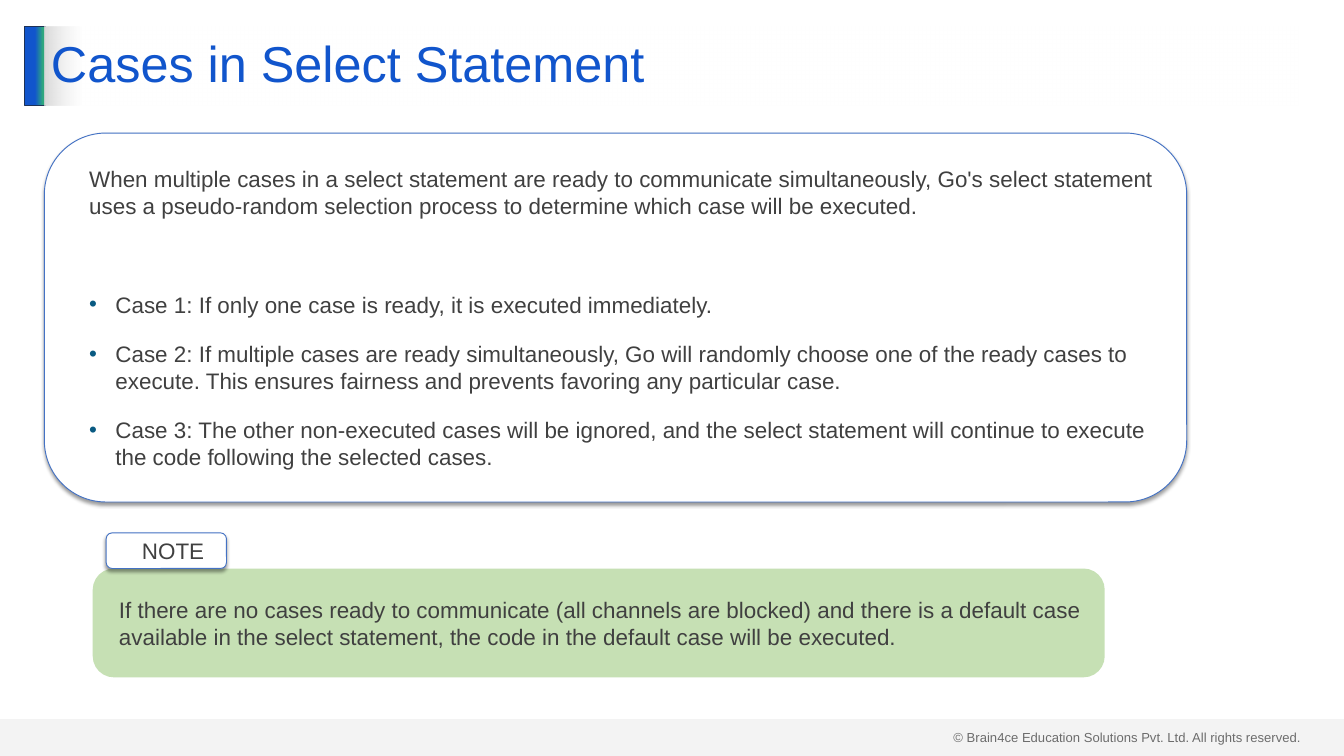
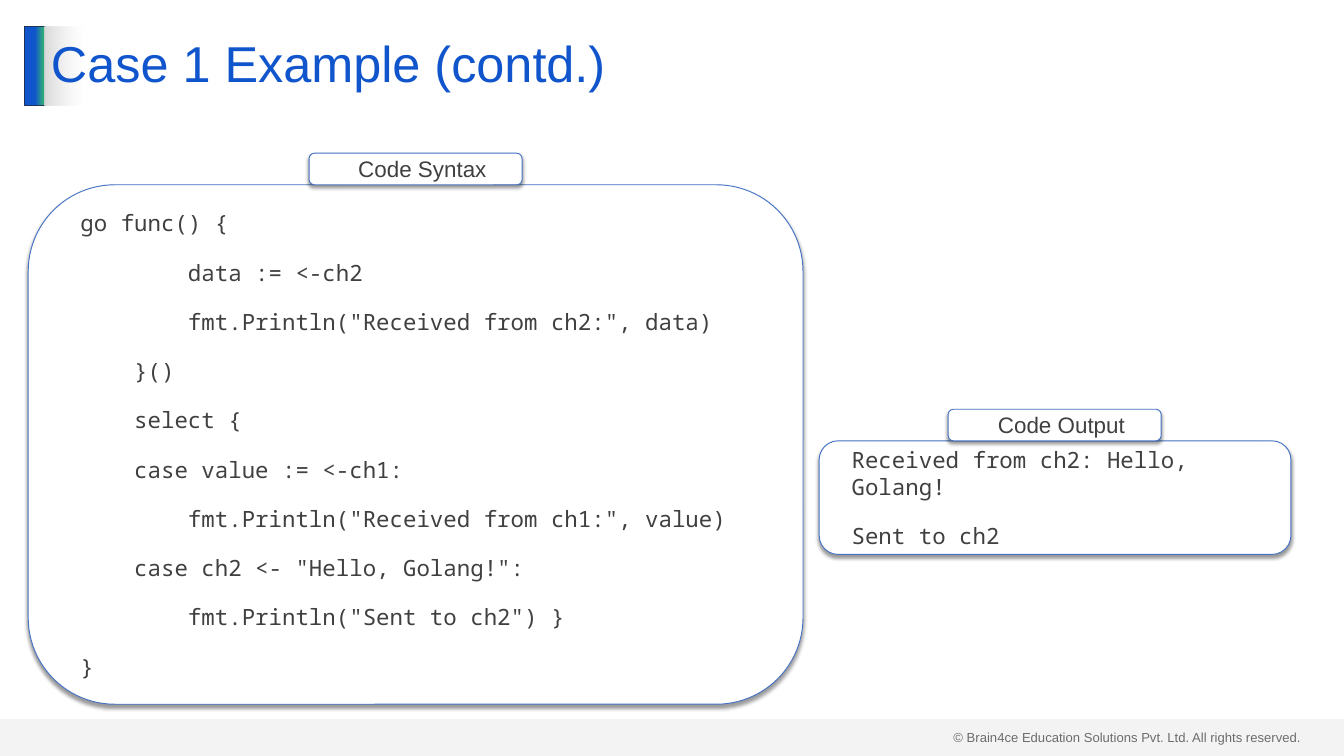
from lxml import etree
from pptx import Presentation
from pptx.dml.color import RGBColor
from pptx.enum.shapes import MSO_SHAPE as SHAPE
from pptx.enum.text import MSO_ANCHOR as ANCHOR, PP_ALIGN as ALIGN
from pptx.oxml import parse_xml
from pptx.oxml.ns import nsdecls, qn
from pptx.util import Emu, Pt

PX = 9144  # 100 px to the inch
WIDTH, HEIGHT = 2000, 1125

BLUE = RGBColor(0x11, 0x55, 0xCC)
GREEN = RGBColor(0x2E, 0xA8, 0x7D)
NAVY = RGBColor(0x1E, 0x32, 0x56)
OUTLINE = RGBColor(0x44, 0x72, 0xC4)
TEAL = RGBColor(0x09, 0x5A, 0x82)
TEXT = RGBColor(0x40, 0x40, 0x40)
GREY = RGBColor(0xD9, 0xD9, 0xD9)
NOTE_GREEN = RGBColor(0xA9, 0xD1, 0x8E)
WHITE = RGBColor(0xFF, 0xFF, 0xFF)
BLACK = RGBColor(0, 0, 0)

BODY = dict(name="Arial", size=Pt(24))
CODE = dict(name="Noto Sans Mono", size=Pt(24))
TITLE = dict(name="Arial", size=Pt(54))
SMALL = dict(name="Arial", size=Pt(14))

# Content
FOOTER = "© Brain4ce Education Solutions Pvt. Ltd. All rights reserved."
CASES_TITLE = "Cases in Select Statement"
INTRO = ("When multiple cases in a select statement are ready to communicate "
         "simultaneously, Go's select statement uses a pseudo-random selection "
         "process to determine which case will be executed.")
CASES = [
    "Case 1: If only one case is ready, it is executed immediately.",
    "Case 2: If multiple cases are ready simultaneously, Go will randomly choose "
    "one of the ready cases to execute. This ensures fairness and prevents "
    "favoring any particular case.",
    "Case 3: The other non-executed cases will be ignored, and the select "
    "statement will continue to execute the code following the selected cases.",
]
NOTE = ("If there are no cases ready to communicate (all channels are blocked) and "
        "there is a default case available in the select statement, the code in "
        "the default case will be executed.")
EXAMPLE_TITLE = "Case 1 Example (contd.)"
SYNTAX = """go func() {
        data := <-ch2
        fmt.Println("Received from ch2:", data)
    }()
    select {
    case value := <-ch1:
        fmt.Println("Received from ch1:", value)
    case ch2 <- "Hello, Golang!":
        fmt.Println("Sent to ch2") }
}""".split("\n")
OUTPUT = ["Received from ch2: Hello, Golang!", "Sent to ch2"]
# label, lines, panel place
CODE_PANELS = [
    ("Code Syntax", SYNTAX, (42, 275, 1153, 773)),
    ("Code Output", OUTPUT, (1219, 656, 702, 169)),
]
LABEL_W, LABEL_H = 317, 47


def px(n):
    return Emu(n * PX)


def color_xml(color, alpha=100):
    return (f'<a:srgbClr val="{color}"><a:alpha val="{alpha * 1000}"/></a:srgbClr>')


def solid(color, alpha=100):
    return f'<a:solidFill {nsdecls("a")}>{color_xml(color, alpha)}</a:solidFill>'


def gradient(*stops):
    gs = "".join(f'<a:gs pos="{pos * 1000}">{color_xml(*color)}</a:gs>'
                 for pos, *color in stops)
    return (f'<a:gradFill {nsdecls("a")} rotWithShape="1"><a:gsLst>{gs}</a:gsLst>'
            '<a:lin ang="0" scaled="0"/></a:gradFill>')


def add_box(slide, at, fill, kind=SHAPE.RECTANGLE, line=None):
    sp = slide.shapes.add_shape(kind, *map(px, at))
    sp.shadow.inherit = False
    sp._element.spPr.find(qn("a:prstGeom")).addnext(parse_xml(fill))
    if line is None:
        sp.line.fill.background()
    else:
        sp.line.color.rgb = line
        sp.line.width = Pt(1)
    return sp


def add_panel(slide, at):
    """White rounded box with a blue outline and a soft shadow below."""
    sp = add_box(slide, at, solid(WHITE), SHAPE.ROUNDED_RECTANGLE, OUTLINE)
    sp._element.spPr.find(qn("a:effectLst")).append(parse_xml(
        f'<a:outerShdw {nsdecls("a")} blurRad="{Pt(4)}" dist="{Pt(3)}" dir="5400000" '
        f'algn="t" rotWithShape="0">{color_xml(BLACK, 40)}</a:outerShdw>'))
    tf = sp.text_frame
    tf.margin_left = tf.margin_right = px(20)
    tf.margin_top = tf.margin_bottom = px(10)
    return sp


def style(p, font, color=TEXT):
    for r in p.runs:
        for key, value in font.items():
            setattr(r.font, key, value)
        r.font.color.rgb = color


def write(sp, lines, font=BODY, color=TEXT, align=ALIGN.LEFT, indent=20,
          anchor=ANCHOR.MIDDLE):
    tf = sp.text_frame
    tf.word_wrap = True
    tf.vertical_anchor = anchor
    for i, line in enumerate(lines):
        p = tf.paragraphs[0] if i == 0 else tf.add_paragraph()
        p.add_run().text = line
        p.alignment = align
        p.space_before = Pt(12 if i else 0)
        p.space_after = Pt(12 if i < len(lines) - 1 else 0)
        p._p.get_or_add_pPr().set("marL", str(px(indent)))
        style(p, font, color)
    return tf.paragraphs


def add_bullet(p):
    pPr = p._p.get_or_add_pPr()
    pPr.set("marL", str(px(59)))
    pPr.set("indent", str(px(-39)))
    color = etree.SubElement(pPr, qn("a:buClr"))
    etree.SubElement(color, qn("a:srgbClr"), val=str(TEAL))
    etree.SubElement(pPr, qn("a:buFont"), typeface="Arial")
    etree.SubElement(pPr, qn("a:buChar"), char="•")


def add_label(slide, text, at):
    write(add_panel(slide, at), [text], align=ALIGN.CENTER)


def new_slide(prs, title):
    """Blank slide with footer, accent bar and title."""
    slide = prs.slides.add_slide(prs.slide_layouts[6])
    footer = slide.shapes.add_textbox(*map(px, (1409, 1080, 541, 34)))
    write(footer, [FOOTER], SMALL, indent=0, anchor=ANCHOR.TOP)
    add_box(slide, (37, 39, 30, 118),
            gradient((51, BLUE), (90, GREEN), (100, GREEN)), line=NAVY)
    add_box(slide, (0, 1070, WIDTH, 55), solid(GREY, 29))
    heading = add_box(slide, (66, 39, 1867, 118),
                      gradient((0, GREY), (3, WHITE, 50)))
    write(heading, [title], TITLE, BLUE, indent=0)[0].line_spacing = 0.9
    return slide


def cases_slide(prs):
    slide = new_slide(prs, CASES_TITLE)
    panel = add_panel(slide, (66, 198, 1700, 549))
    paragraphs = write(panel, [INTRO, *CASES])
    for p in paragraphs[1:]:
        add_bullet(p)
    paragraphs[1].space_before = Pt(65)  # sets the cases apart from the intro

    note = add_box(slide, (138, 846, 1506, 162), solid(NOTE_GREEN, 66),
                   SHAPE.ROUNDED_RECTANGLE)
    note.adjustments[0] = 0.195
    write(note, [NOTE])
    add_label(slide, "NOTE", (158, 793, 179, 53))


def example_slide(prs):
    slide = new_slide(prs, EXAMPLE_TITLE)
    for label, lines, at in CODE_PANELS:
        x, y, w, _ = at
        write(add_panel(slide, at), lines, CODE)
        # label sits centred on the panel's top edge
        add_label(slide, label,
                  (x + (w - LABEL_W) // 2, y - LABEL_H, LABEL_W, LABEL_H))


def main():
    prs = Presentation()
    prs.slide_width, prs.slide_height = px(WIDTH), px(HEIGHT)
    cases_slide(prs)
    example_slide(prs)
    prs.save("out.pptx")


if __name__ == "__main__":
    main()
